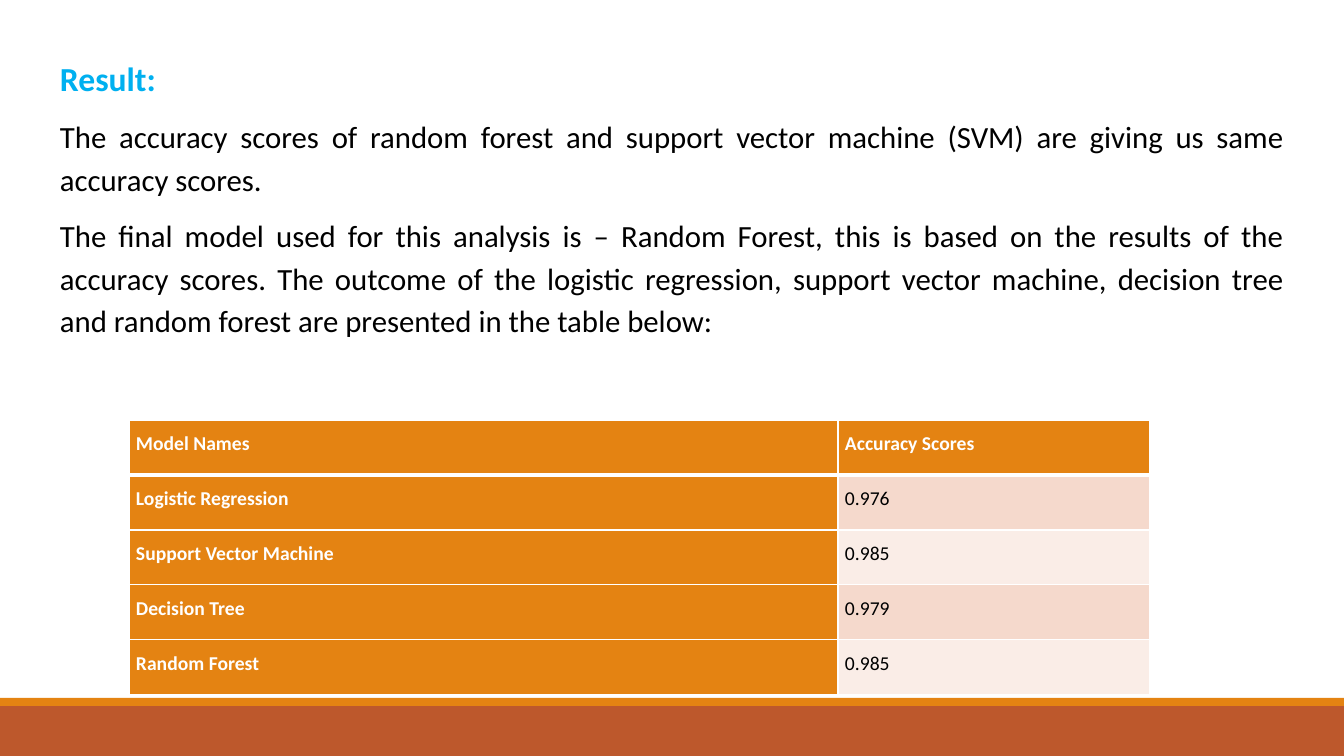
from dataclasses import dataclass

from pptx import Presentation
from pptx.dml.color import RGBColor
from pptx.enum.shapes import MSO_SHAPE as Shape
from pptx.enum.text import MSO_ANCHOR as Anchor, PP_ALIGN as Align
from pptx.oxml.ns import qn
from pptx.util import Pt
from lxml.etree import SubElement

EMU_PER_PX = 914400 / 100.8


@dataclass(frozen=True)
class Theme:
    """Colours, font and type sizes of the slide."""
    font: str = "Calibri"
    heading: str = "00B0F0"
    text: str = "000000"
    white: str = "FFFFFF"
    rust: str = "BD582C"
    orange: str = "E48312"
    bands: tuple = ("F5D9CC", "FAEDE7")
    heading_size: int = 24
    body_size: int = 22
    table_size: int = 14


THEME = Theme()

RESULT_TEXT = [
    "The accuracy scores of random forest and support vector machine (SVM) "
    "are giving us same accuracy scores.",
    "The final model used for this analysis is – Random Forest, this is based "
    "on the results of the accuracy scores. The outcome of the logistic "
    "regression, support vector machine, decision tree and random forest are "
    "presented in the table below:",
]
SCORES = [
    ("Model Names", "Accuracy Scores"),
    ("Logistic Regression", "0.976"),
    ("Support Vector Machine", "0.985"),
    ("Decision Tree", "0.979"),
    ("Random Forest", "0.985"),
]


def px(n):
    """Turn pixels into EMU."""
    return round(n * EMU_PER_PX)


def set_all(obj, values):
    """Set each attribute named in a dict."""
    for name, value in values.items():
        setattr(obj, name, value)


def write(p, text, size, color, bold=False, spacing=1.15):
    """Write one justified paragraph."""
    set_all(p, {"alignment": Align.JUSTIFY, "line_spacing": spacing,
                "space_after": Pt(10)})
    r = p.add_run()
    r.text = text
    set_all(r.font, {"name": THEME.font, "size": Pt(size), "bold": bold})
    r.font.color.rgb = RGBColor.from_string(color)


def add_bar(slide, top, height, color):
    """Add a plain bar across the full slide width."""
    sp = slide.shapes.add_shape(Shape.RECTANGLE, 0, px(top), px(1344), px(height))
    sp.shadow.inherit = False
    sp.fill.solid()
    sp.fill.fore_color.rgb = RGBColor.from_string(color)
    sp.line.fill.background()


def add_result_text(slide, box):
    """Add the heading and the paragraphs below it."""
    tf = slide.shapes.add_textbox(*map(px, box)).text_frame
    tf.word_wrap = True
    write(tf.paragraphs[0], "Result:", THEME.heading_size, THEME.heading, True)
    for text in RESULT_TEXT:
        write(tf.add_paragraph(), text, THEME.body_size, THEME.text)


def add_borders(cell, widths):
    """Draw white cell borders, given points per side tag."""
    tc_pr = cell._tc.get_or_add_tcPr()
    for side, width in widths.items():
        ln = SubElement(tc_pr, qn(f"a:{side}"), w=str(Pt(width)))
        fill = SubElement(ln, qn("a:solidFill"))
        SubElement(fill, qn("a:srgbClr"), val=THEME.white)


def format_cell(cell, text, row, col):
    """Fill, border and write one cell by its place in the table."""
    is_label = row == 0 or col == 0
    set_all(cell, {"margin_left": px(7), "margin_right": px(7), "margin_top": 0,
                   "margin_bottom": 0, "vertical_anchor": Anchor.TOP})
    add_borders(cell, {"lnL": 1, "lnR": 1, "lnT": 3 if row == 1 else 1,
                       "lnB": 3 if row == 0 else 1})
    color = THEME.orange if is_label else THEME.bands[(row - 1) % 2]
    cell.fill.solid()
    cell.fill.fore_color.rgb = RGBColor.from_string(color)
    write(cell.text_frame.paragraphs[0], text, THEME.table_size,
          THEME.white if is_label else THEME.text, is_label, 1.5)


def add_score_table(slide, left, top, col_widths, row_height):
    """Add the table of models and their accuracy."""
    table = slide.shapes.add_table(
        len(SCORES), len(col_widths), px(left), px(top),
        px(sum(col_widths)), px(row_height * len(SCORES))).table
    set_all(table, {"first_row": False, "horz_banding": False})
    for column, width in zip(table.columns, col_widths):
        column.width = px(width)
    for row, values in enumerate(SCORES):
        for col, text in enumerate(values):
            format_cell(table.cell(row, col), text, row, col)


def main():
    """Build the slide and save it."""
    prs = Presentation()
    set_all(prs, {"slide_width": px(1344), "slide_height": px(756)})
    slide = prs.slides.add_slide(prs.slide_layouts[6])
    add_bar(slide, 706, 50, THEME.rust)
    add_bar(slide, 698, 8, THEME.orange)
    add_result_text(slide, (50, 47, 1244, 345))
    add_score_table(slide, 129, 420, (709, 312), 55)
    prs.save("out.pptx")


main()
